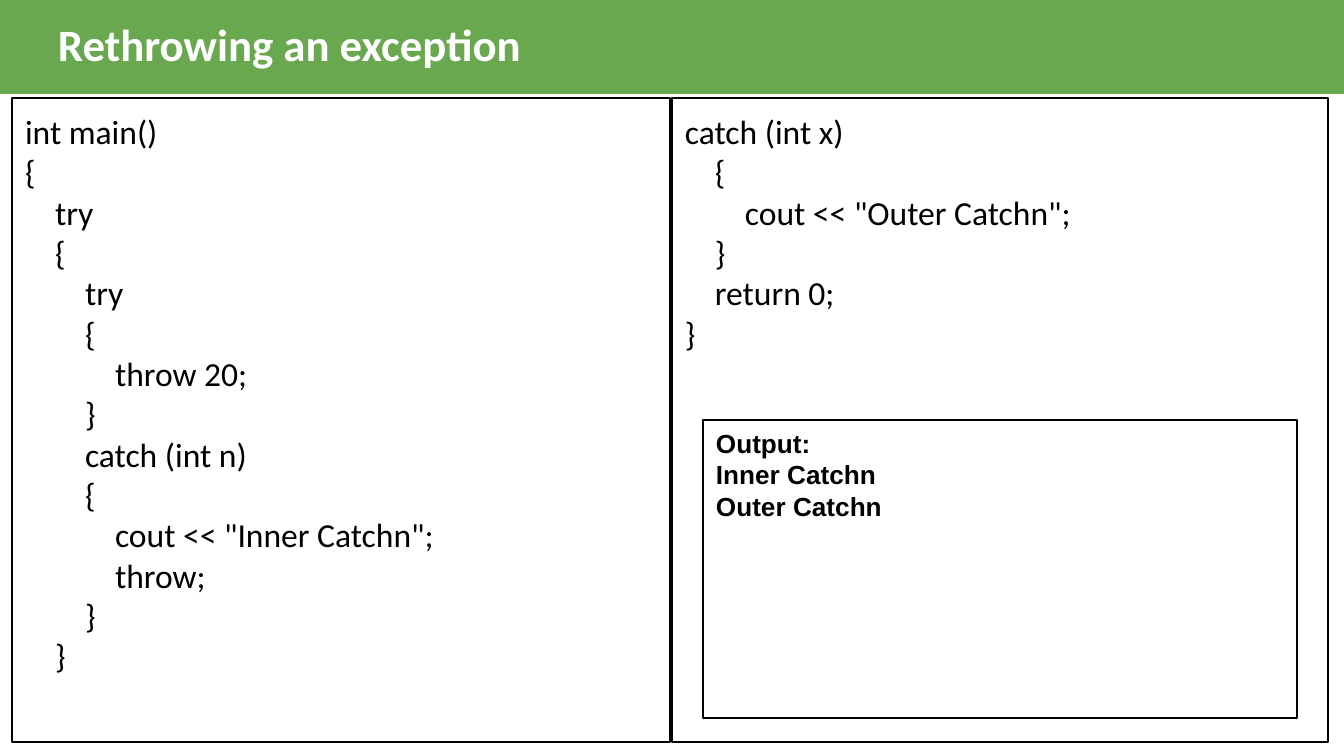
from pptx import Presentation
from pptx.dml.color import RGBColor
from pptx.enum.shapes import MSO_SHAPE
from pptx.enum.text import MSO_ANCHOR, PP_ALIGN
from pptx.util import Emu, Pt

RECTANGLE = MSO_SHAPE.RECTANGLE
TOP, LEFT = MSO_ANCHOR.TOP, PP_ALIGN.LEFT

GREEN = RGBColor(0x6A, 0xA8, 0x4F)
BLACK = RGBColor(0, 0, 0)
WHITE = RGBColor(255, 255, 255)

INDENT = 30  # px for each level of nesting

# Each code line is (nesting level, code)
MAIN_CODE = [
    (0, "int main()"),
    (0, "{"),
    (1, "try"),
    (1, "{"),
    (2, "try"),
    (2, "{"),
    (3, "throw 20;"),
    (2, "}"),
    (2, "catch (int n)"),
    (2, "{"),
    (3, 'cout << "Inner Catchn";'),
    (3, "throw;"),
    (2, "}"),
    (1, "}"),
]
CATCH_CODE = [
    (0, "catch (int x)"),
    (1, "{"),
    (2, 'cout << "Outer Catchn";'),
    (1, "}"),
    (1, "return 0;"),
    (0, "}"),
]
OUTPUT = [(0, "Output:"), (0, "Inner Catchn"), (0, "Outer Catchn")]


def px(length):
    return Emu(round(length * 914400 / 134.4))


class CodeSlide:
    def __init__(self, slide):
        self.shapes = slide.shapes

    def band(self, x, y, w, h):
        band = self.shapes.add_shape(RECTANGLE, px(x), px(y), px(w), px(h))
        band.shadow.inherit = False
        band.fill.solid()
        band.fill.fore_color.rgb = GREEN
        band.line.fill.background()

    def title(self, x, y, w, h, wording):
        title = self.shapes.add_textbox(px(x), px(y), px(w), px(h))
        self.set_lines(title.text_frame, [(0, wording)], (0, 4), "Calibri", 24, WHITE, bold=True)

    def panel(self, x, y, w, h, lines, margins, font, size, spacing, bold=False):
        panel = self.shapes.add_shape(RECTANGLE, px(x), px(y), px(w), px(h))
        panel.shadow.inherit = False
        panel.fill.background()
        panel.line.color.rgb = BLACK
        panel.line.width = Pt(0.75)
        self.set_lines(panel.text_frame, lines, margins, font, size, BLACK, bold, spacing)

    def set_lines(self, frame, lines, margins, font, size, color, bold=False, spacing=None):
        side, edge = margins
        frame.word_wrap = True
        frame.vertical_anchor = TOP
        frame.margin_left = frame.margin_right = px(side)
        frame.margin_top = frame.margin_bottom = px(edge)
        for number, (level, wording) in enumerate(lines):
            paragraph = frame.paragraphs[0] if number == 0 else frame.add_paragraph()
            paragraph.text = wording
            paragraph.alignment = LEFT
            if spacing:
                paragraph.line_spacing = Pt(spacing)
            if level:
                # Nested code is set in from the left margin
                paragraph._p.get_or_add_pPr().set("marL", str(px(level * INDENT)))
            paragraph.font.name = font
            paragraph.font.size = Pt(size)
            paragraph.font.bold = bold
            paragraph.font.color.rgb = color


def main():
    deck = Presentation()
    deck.slide_width, deck.slide_height = px(1344), px(756)
    page = CodeSlide(deck.slides.add_slide(deck.slide_layouts[6]))

    # Header
    page.band(0, 0, 1344, 94)
    page.title(58, 13, 1020, 58, "Rethrowing an exception")

    # Code columns
    for x, width, code in ((12, 658, MAIN_CODE), (672, 656, CATCH_CODE)):
        page.panel(x, 98, width, 644, code, (13, 13), "Calibri", 18, 21.6)

    # Program output
    page.panel(703, 420, 594, 298, OUTPUT, (13, 7), "Arial", 14, 16.9, bold=True)

    deck.save("out.pptx")


if __name__ == "__main__":
    main()
